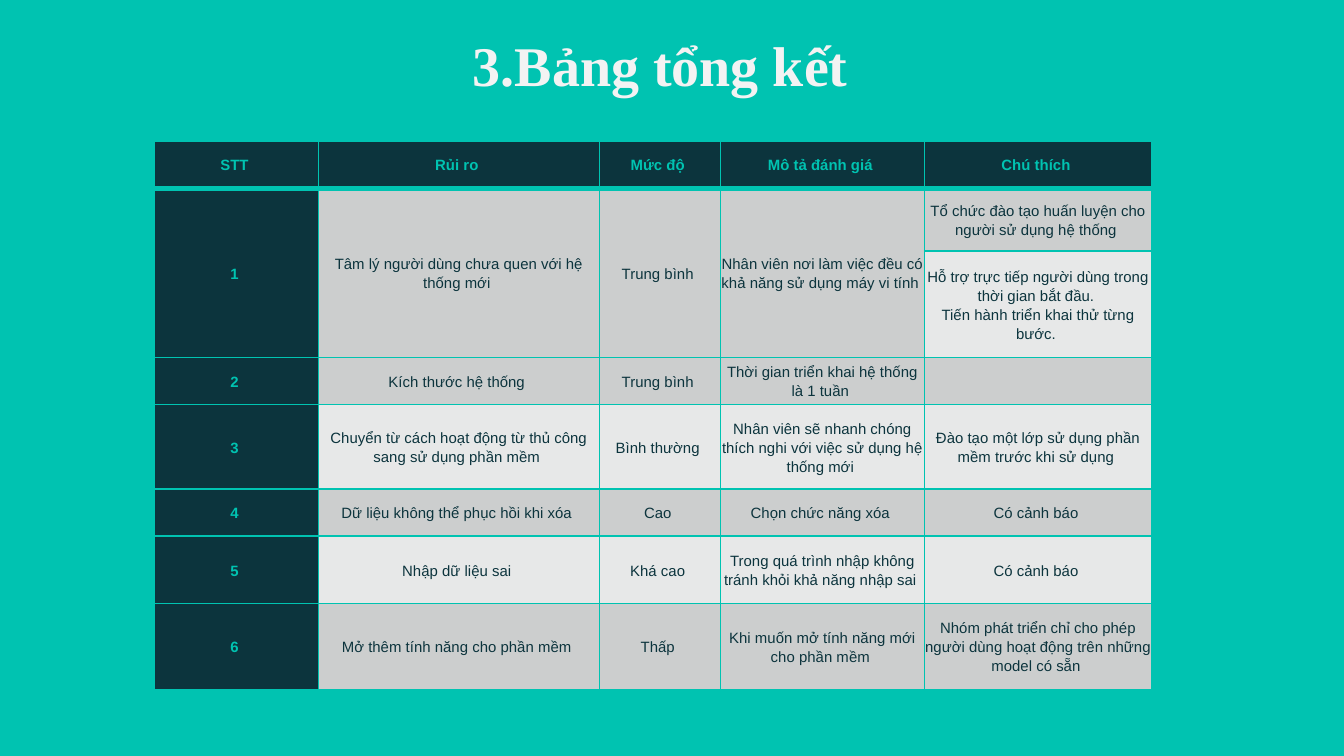
from lxml import etree
from pptx import Presentation
from pptx.dml.color import RGBColor
from pptx.enum import text
from pptx.oxml import ns
from pptx.util import Inches, Pt

TEAL, NAVY, GREY, LIGHT, WHITE = "00C3B1", "0C343D", "CCCECE", "E7E8E8", "F3F3F3"
NBSP = chr(160)  # every table line ends in a no-break space

COLUMN_WIDTHS = [1.22, 2.09, 0.9, 1.52, 1.69]
ROW_HEIGHTS = [0.35, 0.47, 0.79, 0.35, 0.63, 0.35, 0.5, 0.64]
# None marks a cell that belongs to the merged cell above it
RISKS = [
    ["STT", "Rủi ro", "Mức độ", "Mô tả đánh giá", "Chú thích"],
    ["1", "Tâm lý người dùng chưa quen với hệ thống mới", "Trung bình",
     "Nhân viên nơi làm việc đều có khả năng sử dụng máy vi tính",
     "Tổ chức đào tạo huấn luyện cho người sử dụng hệ thống"],
    [None, None, None, None,
     "Hỗ trợ trực tiếp người dùng trong thời gian bắt đầu.\n"
     "Tiến hành triển khai thử từng bước."],
    ["2", "Kích thước hệ thống", "Trung bình",
     "Thời gian triển khai hệ thống là 1 tuần", ""],
    ["3", "Chuyển từ cách hoạt động từ thủ công sang sử dụng phần mềm", "Bình thường",
     "Nhân viên sẽ nhanh chóng thích nghi với việc sử dụng hệ thống mới",
     "Đào tạo một lớp sử dụng phần mềm trước khi sử dụng"],
    ["4", "Dữ liệu không thể phục hồi khi xóa", "Cao", "Chọn chức năng xóa",
     "Có cảnh báo"],
    ["5", "Nhập dữ liệu sai", "Khá cao",
     "Trong quá trình nhập không tránh khỏi khả năng nhập sai", "Có cảnh báo"],
    ["6", "Mở thêm tính năng cho phần mềm", "Thấp",
     "Khi muốn mở tính năng mới cho phần mềm",
     "Nhóm phát triển chỉ cho phép người dùng hoạt động trên những model có sẵn"],
]


def paint(fill, color):
    fill.solid()
    fill.fore_color.rgb = RGBColor.from_string(color)


def set_font(paragraph, name, size, color, bold):
    font = paragraph.font
    font.name, font.size, font.bold = name, Pt(size), bold
    font.color.rgb = RGBColor.from_string(color)


def set_borders(cell, **widths):
    """Draw teal borders; widths in points by side: L, R, T, B."""
    properties = cell._tc.get_or_add_tcPr()
    for side, width in widths.items():
        line = etree.SubElement(properties, ns.qn(f"a:ln{side}"), w=str(Pt(width)))
        solid = etree.SubElement(line, ns.qn("a:solidFill"))
        etree.SubElement(solid, ns.qn("a:srgbClr"), val=TEAL)


def write_cell(cell, wording, is_label):
    cell.text = "\n".join(line + NBSP for line in wording.split("\n")) if wording else ""
    for paragraph in cell.text_frame.paragraphs:
        paragraph.alignment = text.PP_ALIGN.CENTER
        paragraph.line_spacing = 1.13
        set_font(paragraph, "Arial", 8, TEAL if is_label else NAVY, is_label)


def add_title(slide, wording):
    title = slide.shapes.title
    title.left, title.top = Inches(0.75), Inches(0.13)
    title.width, title.height = Inches(8.43), Inches(0.63)
    frame = title.text_frame
    frame.text = wording
    frame.word_wrap = True
    frame.auto_size = text.MSO_AUTO_SIZE.NONE
    frame.vertical_anchor = text.MSO_ANCHOR.TOP
    frame.margin_left = frame.margin_right = Inches(0.1)
    frame.margin_top = frame.margin_bottom = Inches(0.1)
    heading = frame.paragraphs[0]
    heading.alignment = text.PP_ALIGN.CENTER
    heading.line_spacing = 1.0
    set_font(heading, "Times New Roman", 30, WHITE, True)


def add_risk_table(slide):
    table = slide.shapes.add_table(
        len(ROW_HEIGHTS), len(COLUMN_WIDTHS), Inches(1.15), Inches(1.05),
        Inches(sum(COLUMN_WIDTHS)), Inches(sum(ROW_HEIGHTS))).table
    for column, width in zip(table.columns, COLUMN_WIDTHS):
        column.width = Inches(width)
    for row, height in zip(table.rows, ROW_HEIGHTS):
        row.height = Inches(height)

    for r, risk in enumerate(RISKS):
        for c, wording in enumerate(risk):
            cell = table.cell(r, c)
            is_label = r == 0 or c == 0
            cell.margin_left = cell.margin_right = 0
            cell.margin_top = cell.margin_bottom = 0
            cell.vertical_anchor = text.MSO_ANCHOR.MIDDLE
            # The rule under the header row is heavier
            set_borders(cell, L=1, R=1, T=3 if r == 1 else 1, B=3 if r == 0 else 1)
            paint(cell.fill, NAVY if is_label else GREY if r % 2 else LIGHT)
            if wording is None:
                table.cell(r - 1, c).merge(cell)
            else:
                write_cell(cell, wording, is_label)


def main():
    deck = Presentation()
    # Widescreen, 16:9
    deck.slide_width = Inches(10)
    deck.slide_height = deck.slide_width * 9 // 16
    slide = deck.slides.add_slide(deck.slide_layouts[5])
    paint(slide.background.fill, TEAL)
    add_title(slide, "3.Bảng tổng kết ")
    add_risk_table(slide)
    deck.save("out.pptx")


if __name__ == "__main__":
    main()
